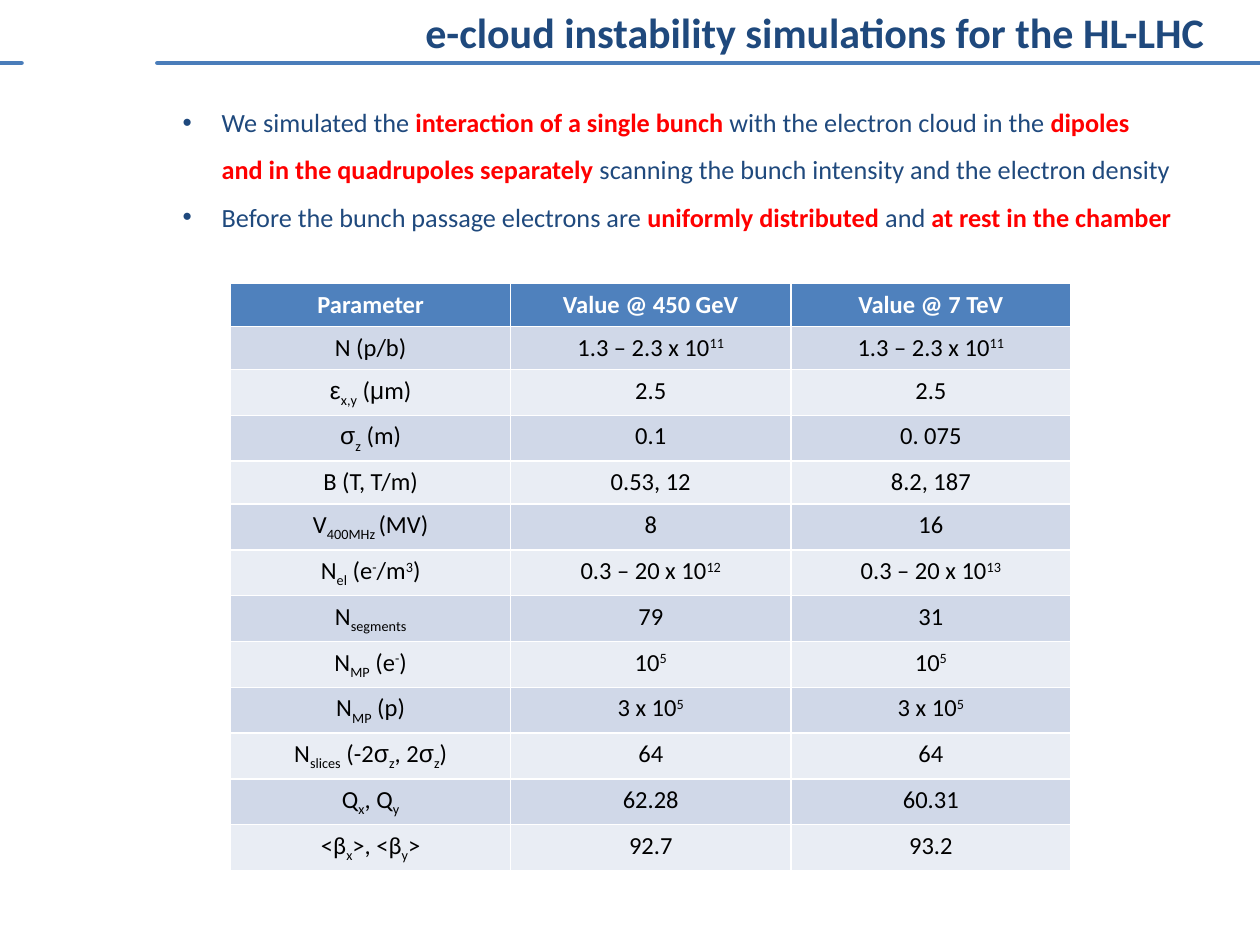
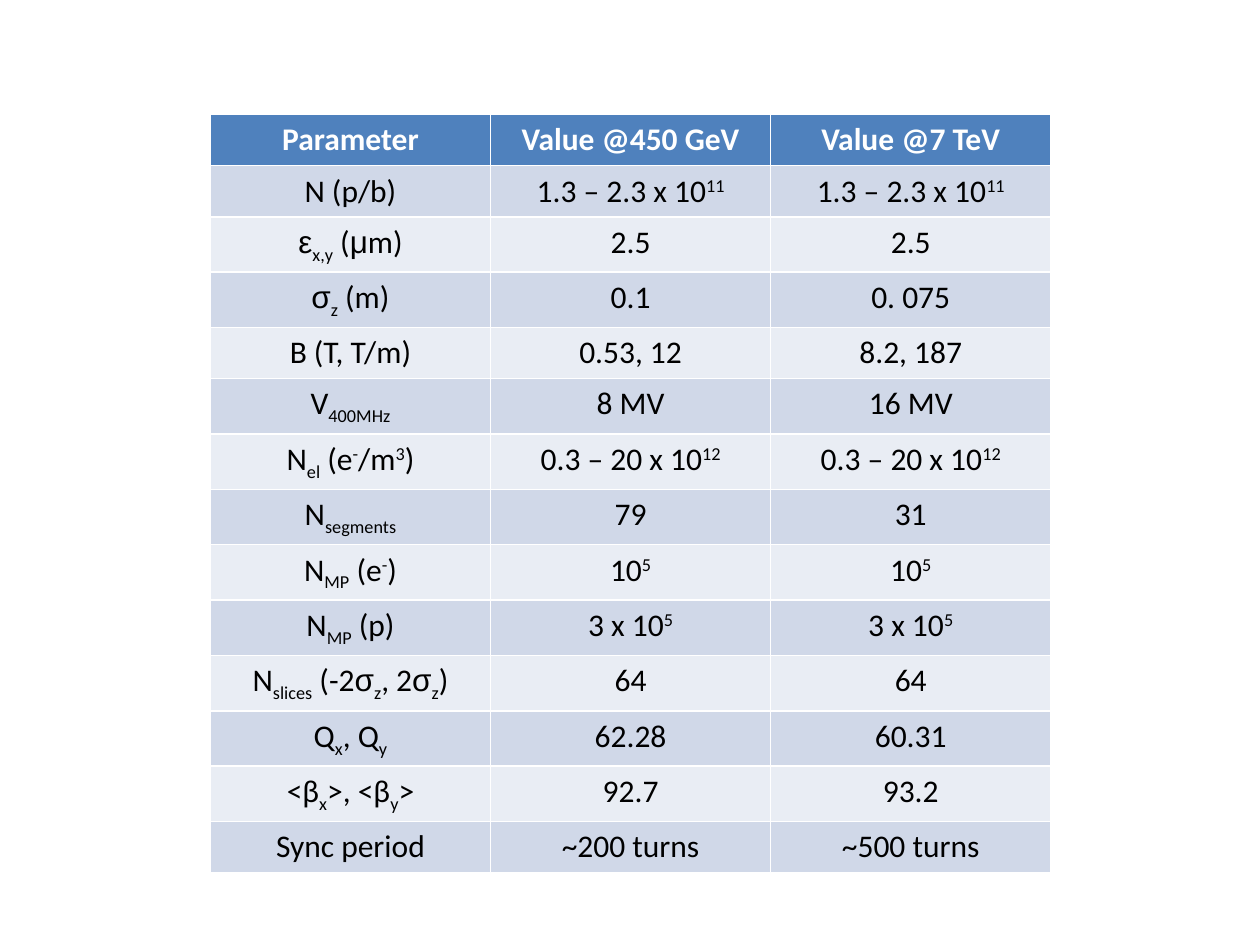
import itertools

import lxml.etree
import pptx
import pptx.dml.color
import pptx.enum.shapes
import pptx.enum.text
import pptx.oxml.ns
import pptx.util

Inches = pptx.util.Inches
Pt = pptx.util.Pt
RGBColor = pptx.dml.color.RGBColor
PP_ALIGN = pptx.enum.text.PP_ALIGN
qn = pptx.oxml.ns.qn

NAVY = RGBColor(0x1F, 0x49, 0x7D)
RED = RGBColor(0xFF, 0x00, 0x00)
RULE_BLUE = RGBColor(0x4A, 0x7D, 0xBA)
HEADER_BLUE = RGBColor(0x4F, 0x81, 0xBD)
BAND_DARK = RGBColor(0xD0, 0xD8, 0xE8)
BAND_LIGHT = RGBColor(0xE9, 0xED, 0xF4)
WHITE = RGBColor(0xFF, 0xFF, 0xFF)
BLACK = RGBColor(0x00, 0x00, 0x00)

TEXT_FONT = "Calibri"
GREEK_FONT = "Arial"
GREEK_LETTERS = "εμσ"
BASELINES = {"_{": "-25000", "^{": "30000"}

BEAM_ROWS = [
    ("N (p/b)", "1.3 – 2.3 x 10^{11}", "1.3 – 2.3 x 10^{11}"),
    ("ε_{x,y} (μm)", "2.5", "2.5"),
    ("σ_{z} (m)", "0.1", "0. 075"),
    ("B (T, T/m)", "0.53, 12", "8.2, 187"),
]
NUMERICAL_ROWS = [
    ("N_{segments}", "79", "31"),
    ("N_{MP} (e^{-})", "10^{5}", "10^{5}"),
    ("N_{MP} (p)", "3 x 10^{5}", "3 x 10^{5}"),
    ("N_{slices} (-2σ_{z}, 2σ_{z})", "64", "64"),
    ("Q_{x}, Q_{y}", "62.28", "60.31"),
    ("<β_{x}>, <β_{y}>", "92.7", "93.2"),
]
DENSITY = "N_{el} (e^{-}/m^{3})"

SIMULATION_POINTS = [
    [
        ("We simulated the ", False),
        ("interaction of a single bunch ", True),
        ("with the electron cloud in the ", False),
        ("dipoles and in the quadrupoles separately", True),
        (" scanning the bunch intensity and the electron density", False),
    ],
    [
        ("Before the bunch passage electrons are ", False),
        ("uniformly distributed ", True),
        ("and ", False),
        ("at rest in the chamber", True),
    ],
]


def place(shape, left, top, width, height):
    shape.left, shape.top = Inches(left), Inches(top)
    shape.width, shape.height = Inches(width), Inches(height)


def style_font(font, size, color=None, bold=None):
    font.name = TEXT_FONT
    font.size = Pt(size)
    if color is not None:
        font.color.rgb = color
    if bold is not None:
        font.bold = bold


def add_rule(slide, start, end):
    rule = slide.shapes.add_connector(
        pptx.enum.shapes.MSO_CONNECTOR.STRAIGHT,
        Inches(start), Inches(0.5), Inches(end), Inches(0.5))
    rule.line.color.rgb = RULE_BLUE
    rule.line.width = Pt(2.75)
    rule.line._get_or_add_ln().set("cap", "rnd")
    lxml.etree.SubElement(rule._element.spPr, qn("a:effectLst"))


def set_title(slide, text):
    title = slide.shapes.title
    place(title, 1.33, 0, 8.33, 0.5)
    frame = title.text_frame
    frame.text = text
    frame.auto_size = pptx.enum.text.MSO_AUTO_SIZE.NONE
    paragraph = frame.paragraphs[0]
    paragraph.alignment = PP_ALIGN.RIGHT
    style_font(paragraph.font, 24, NAVY, True)


def set_bullet(paragraph):
    properties = paragraph._p.get_or_add_pPr()
    properties.set("marL", str(Inches(0.31)))
    properties.set("indent", str(-Inches(0.31)))
    bullet_color = lxml.etree.SubElement(properties, qn("a:buClr"))
    lxml.etree.SubElement(bullet_color, qn("a:srgbClr"), val=str(NAVY))
    lxml.etree.SubElement(properties, qn("a:buFont"), typeface="Arial")
    lxml.etree.SubElement(properties, qn("a:buChar"), char="•")


def fill_points(body, points):
    place(body, 1.35, 0.67, 8.06, 1.24)
    frame = body.text_frame
    frame.auto_size = pptx.enum.text.MSO_AUTO_SIZE.NONE
    for index, point in enumerate(points):
        paragraph = frame.add_paragraph() if index else frame.paragraphs[0]
        set_bullet(paragraph)
        paragraph.line_spacing = 1.5
        paragraph.space_before = Pt(0)
        style_font(paragraph.font, 15)
        for text, emphasized in point:
            run = paragraph.add_run()
            run.text = text
            run.font.bold = emphasized
            run.font.color.rgb = RED if emphasized else NAVY


def split_scripts(markup):
    for chunk in markup.split("}"):
        mark = next((m for m in BASELINES if m in chunk), None)
        plain, _, script = chunk.partition(mark) if mark else (chunk, "", "")
        for is_greek, letters in itertools.groupby(
                plain, lambda letter: letter in GREEK_LETTERS):
            yield "".join(letters), is_greek, None
        if script:
            yield script, False, BASELINES[mark]


def fill_cell(cell, markup, size, fill, color, bold):
    cell.fill.solid()
    cell.fill.fore_color.rgb = fill
    paragraph = cell.text_frame.paragraphs[0]
    paragraph.alignment = PP_ALIGN.CENTER
    style_font(paragraph.font, size, color, bold)
    for text, is_greek, baseline in split_scripts(markup):
        run = paragraph.add_run()
        run.text = text
        if is_greek:
            run.font.name = GREEK_FONT
        if baseline:
            run._r.get_or_add_rPr().set("baseline", baseline)


def add_parameter_table(slide, left, top, height, size, header, rows):
    table = slide.shapes.add_table(
        len(rows) + 1, len(header),
        Inches(left), Inches(top), Inches(6.67), Inches(height)).table
    for row_index, row in enumerate([header] + rows):
        is_header = row_index == 0
        band = BAND_DARK if row_index % 2 else BAND_LIGHT
        fill = HEADER_BLUE if is_header else band
        color = WHITE if is_header else BLACK
        for column, markup in enumerate(row):
            fill_cell(table.cell(row_index, column), markup, size,
                      fill, color, is_header)


def build_simulation_slide(presentation):
    slide = presentation.slides.add_slide(presentation.slide_layouts[1])
    add_rule(slide, 1.25, 10)
    add_rule(slide, 0, 0.17)
    set_title(slide, "e-cloud instability simulations for the HL-LHC")
    fill_points(slide.placeholders[1], SIMULATION_POINTS)
    machine_rows = [
        ("V_{400MHz }(MV)", "8", "16"),
        (DENSITY, "0.3 – 20 x 10^{12}", "0.3 – 20 x 10^{13}"),
    ]
    add_parameter_table(
        slide, 1.83, 2.25, 4.44, 14,
        ("Parameter", "Value @ 450 GeV", "Value @ 7 TeV"),
        BEAM_ROWS + machine_rows + NUMERICAL_ROWS)


def build_parameter_slide(presentation):
    slide = presentation.slides.add_slide(presentation.slide_layouts[6])
    machine_rows = [
        ("V_{400MHz}", "8 MV", "16 MV"),
        (DENSITY, "0.3 – 20 x 10^{12}", "0.3 – 20 x 10^{12}"),
    ]
    sync_row = ("Sync period", "~200 turns", "~500 turns")
    add_parameter_table(
        slide, 1.67, 0.91, 5.68, 18,
        ("Parameter", "Value @450 GeV", "Value @7 TeV"),
        BEAM_ROWS + machine_rows + NUMERICAL_ROWS + [sync_row])


def main():
    presentation = pptx.Presentation()
    presentation.slide_width = Inches(10)
    presentation.slide_height = Inches(7.5)
    build_simulation_slide(presentation)
    build_parameter_slide(presentation)
    presentation.save("out.pptx")


if __name__ == "__main__":
    main()
